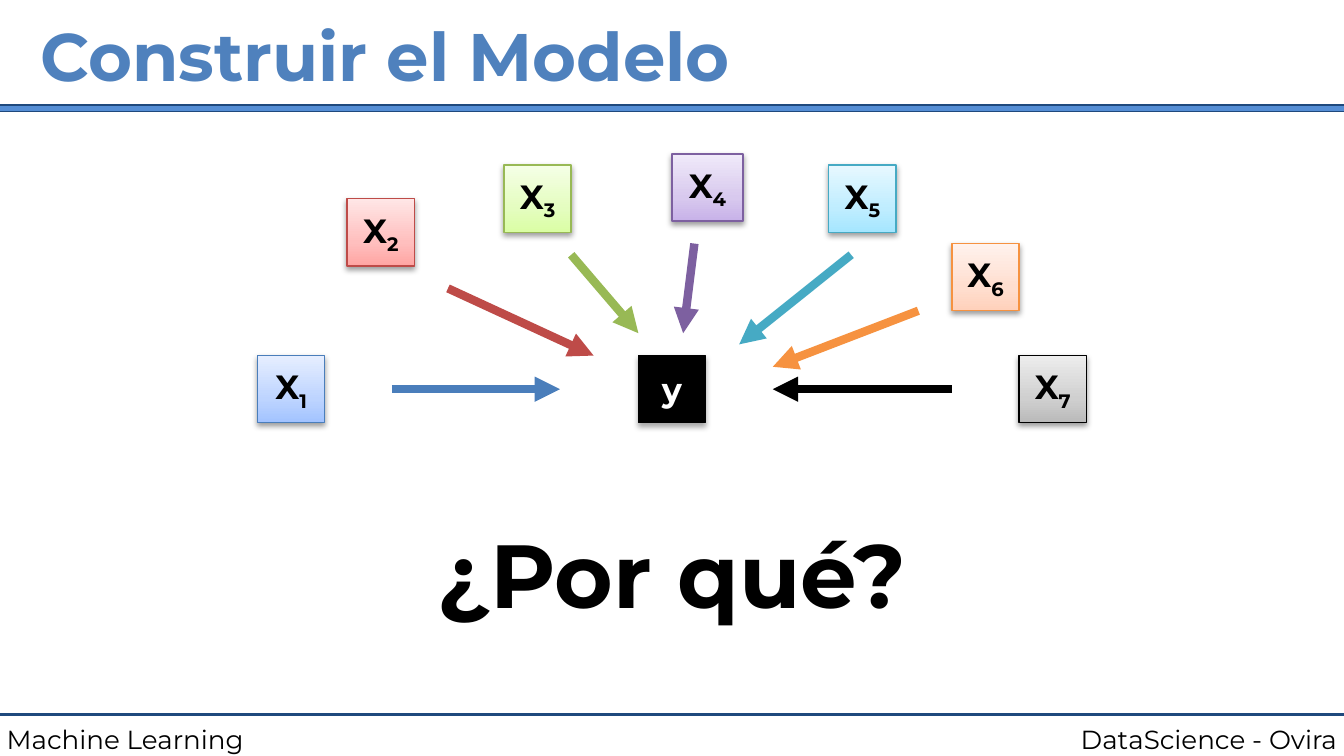
import copy
from dataclasses import dataclass

import pptx
import pptx.dml.color
import pptx.enum.shapes
import pptx.enum.text
import pptx.oxml
import pptx.oxml.ns
import pptx.util

Pt = pptx.util.Pt
ALIGN = pptx.enum.text.PP_ALIGN
ANCHOR = pptx.enum.text.MSO_ANCHOR
RECTANGLE = pptx.enum.shapes.MSO_SHAPE.RECTANGLE
STRAIGHT = pptx.enum.shapes.MSO_CONNECTOR.STRAIGHT


@dataclass(frozen=True)
class Theme:
    font: str = "Montserrat"
    title: str = "4F81BD"
    band: str = "558ED5"
    rule: str = "1F497D"
    black: str = "000000"
    white: str = "FFFFFF"
    title_size: float = 36
    question_size: float = 48
    node_size: float = 18
    footer_size: float = 14
    inset: float = 3.6
    thin: float = 0.75
    arrow_width: float = 4.5


THEME = Theme()
NODE_SIDE = 36
TARGET_OFFSET = (204, 108)
GRADIENT_POSITIONS = (0, 0.35, 1)

# offset, width, line colour, gradient colours, arrow start, arrow end
VARIABLES = [
    ((0, 108), 36, "4A7EBB", ("A2C3FF", "BDD4FF", "E6EEFF"), (72, 126), (162, 126)),
    ((48, 24), 36, "BE4B48", ("FFA5A3", "FFBFBE", "FFE6E6"), (102, 72), (180, 108)),
    ((132, 6), 36, "98B955", ("DAFEA4", "E4FDBF", "F5FFE6"), (168, 54), (204, 96)),
    ((222, 0), 38, "7D60A0", ("C8B2E9", "D8C9EE", "F0EAF9"), (234, 48), (228, 96)),
    ((306, 6), 36, "46AAC4", ("A5E6FF", "BFEDFF", "E7F8FF"), (318, 54), (258, 102)),
    ((372, 48), 36, "F69240", ("FFD1BB", "FFDECF", "FFF2ED"), (354, 84), (276, 114)),
    ((408, 108), 36, "000000", ("BABABA", "CFCFCF", "EDEDED"), (372, 126), (276, 126)),
]


def rgb(color):
    return pptx.dml.color.RGBColor.from_string(color)


def write_text(shape, text, *, size, color=THEME.black, bold=False,
               align=ALIGN.LEFT, anchor=ANCHOR.TOP, subscript=""):
    frame = shape.text_frame
    frame.word_wrap = True
    frame.vertical_anchor = anchor
    frame.margin_left = frame.margin_right = Pt(THEME.inset)
    frame.margin_top = frame.margin_bottom = Pt(THEME.inset)
    paragraph = frame.paragraphs[0]
    paragraph.alignment = align
    for content, baseline in ((text, None), (subscript, "-25000")):
        if not content:
            continue
        run = paragraph.add_run()
        run.text = content
        run.font.name = THEME.font
        run.font.size = Pt(size)
        run.font.bold = bold
        run.font.color.rgb = rgb(color)
        if baseline:
            run._r.get_or_add_rPr().set("baseline", baseline)


def add_text(slide, box, text, **text_format):
    shape = slide.shapes.add_textbox(*map(Pt, box))
    write_text(shape, text, **text_format)


def add_rectangle(slide, box, fill, line):
    shape = slide.shapes.add_shape(RECTANGLE, *map(Pt, box))
    shape.shadow.inherit = False
    shape.fill.solid()
    shape.fill.fore_color.rgb = rgb(fill)
    shape.line.color.rgb = rgb(line)
    shape.line.width = Pt(THEME.thin)
    return shape


def add_line(slide, start, end, color, width, arrow=False):
    line = slide.shapes.add_connector(STRAIGHT, *map(Pt, (*start, *end)))
    line.line.color.rgb = rgb(color)
    line.line.width = Pt(width)
    if arrow:
        head = pptx.oxml.ns.qn("a:tailEnd")
        line.line._get_or_add_ln().append(line.element.spPr.makeelement(head, {"type": "triangle"}))
    effects = pptx.oxml.ns.qn("a:effectLst")
    line.element.spPr.append(line.element.spPr.makeelement(effects, {}))


def add_drop_shadow(shape, opacity, distance):
    effects = shape.element.spPr.find(pptx.oxml.ns.qn("a:effectLst"))
    effects.append(pptx.oxml.parse_xml(
        f'<a:outerShdw {pptx.oxml.ns.nsdecls("a")} blurRad="{Pt(3)}" dist="{Pt(distance)}" '
        f'dir="5400000" rotWithShape="0"><a:srgbClr val="{THEME.black}">'
        f'<a:alpha val="{opacity * 1000}"/></a:srgbClr></a:outerShdw>'))


def apply_gradient(shape, colors):
    """Fill from the bottom edge up with three colours."""
    shape.fill.gradient()
    shape.fill.gradient_angle = 90
    stop_list = shape.element.spPr.find(".//" + pptx.oxml.ns.qn("a:gsLst"))
    stop_list.append(copy.deepcopy(stop_list[0]))
    for stop, position, color in zip(shape.fill.gradient_stops, GRADIENT_POSITIONS, colors):
        stop.position = position
        stop.color.rgb = rgb(color)


def add_header(slide, box, title):
    left, top, width, height = box
    add_rectangle(slide, (left - 3, top + height - 2.25, width + 6, 3.6), THEME.band, THEME.rule)
    add_text(slide, (left + 18, top, width - 36, height), title, size=THEME.title_size,
             color=THEME.title, bold=True, anchor=ANCHOR.MIDDLE)


def add_footer(slide, box, left_text, right_text):
    left, top, width, height = box
    half = width / 2
    add_line(slide, (left, top), (left + width, top), THEME.rule, 1.5)
    add_text(slide, (left, top + 0.75, half, height), left_text, size=THEME.footer_size)
    add_text(slide, (left + half, top + 0.75, half, height), right_text,
             size=THEME.footer_size, align=ALIGN.RIGHT)


def add_diagram(slide, box):
    """Draw the variables X1 to X7, each pointing at y."""
    left, top, _, _ = box

    def place(offset):
        return left + offset[0], top + offset[1]

    node_format = dict(size=THEME.node_size, bold=True, align=ALIGN.CENTER, anchor=ANCHOR.MIDDLE)
    for number, (offset, width, color, gradient, start, end) in enumerate(VARIABLES, 1):
        node = add_rectangle(slide, (*place(offset), width, NODE_SIDE), gradient[0], color)
        apply_gradient(node, gradient)
        add_drop_shadow(node, opacity=38, distance=1.6)
        write_text(node, "X", subscript=str(number), **node_format)
        add_line(slide, place(start), place(end), color, THEME.arrow_width, arrow=True)

    target = add_rectangle(slide, (*place(TARGET_OFFSET), NODE_SIDE, NODE_SIDE),
                           THEME.black, THEME.black)
    add_drop_shadow(target, opacity=35, distance=1.8)
    write_text(target, "y", color=THEME.white, **node_format)


def main():
    presentation = pptx.Presentation()
    presentation.slide_width = Pt(720)
    presentation.slide_height = Pt(405)
    slide = presentation.slides.add_slide(presentation.slide_layouts[6])
    add_footer(slide, (0, 383, 720, 24), "Machine Learning", "DataScience - Ovira")
    add_header(slide, (0, 0, 720, 58.5), "Construir el Modelo")
    add_diagram(slide, (138, 82.5, 444, 144))
    add_text(slide, (0, 274.5, 720, 65.5), "¿Por qué?", size=THEME.question_size,
             bold=True, align=ALIGN.CENTER)
    presentation.save("out.pptx")


if __name__ == "__main__":
    main()
